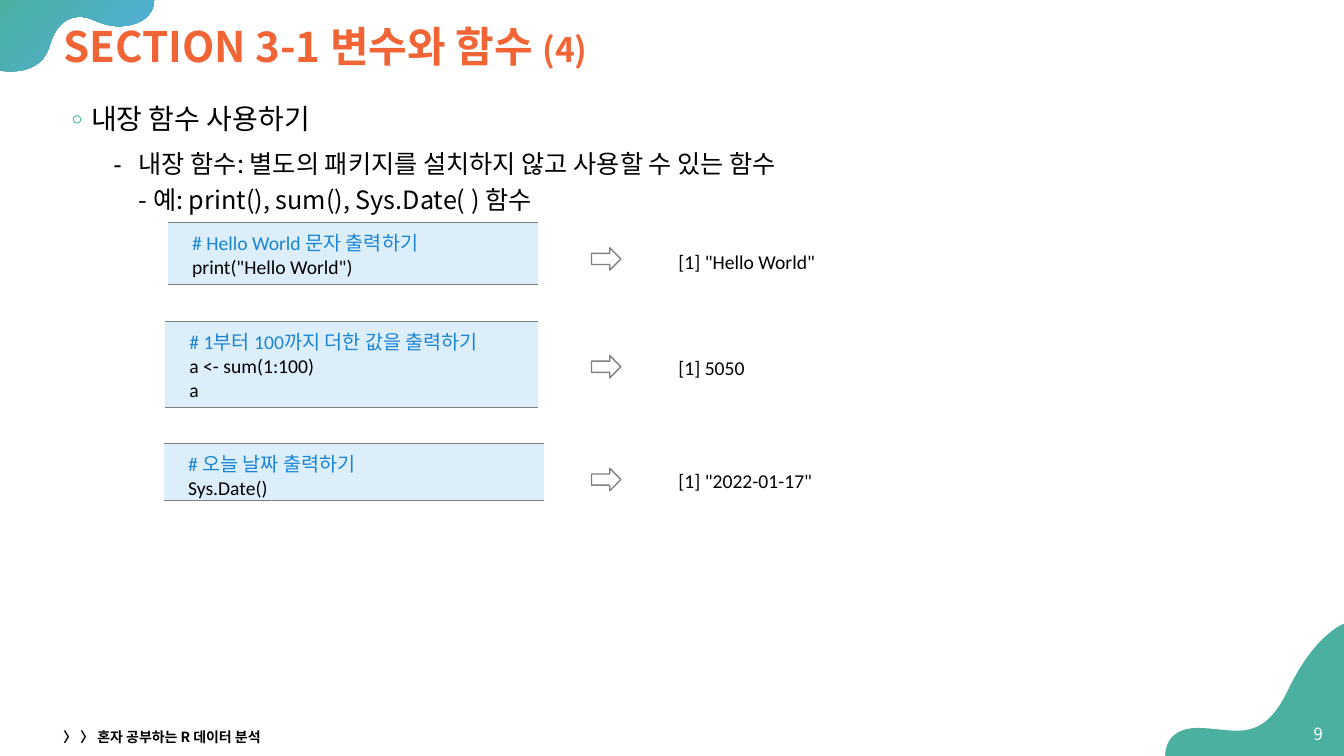
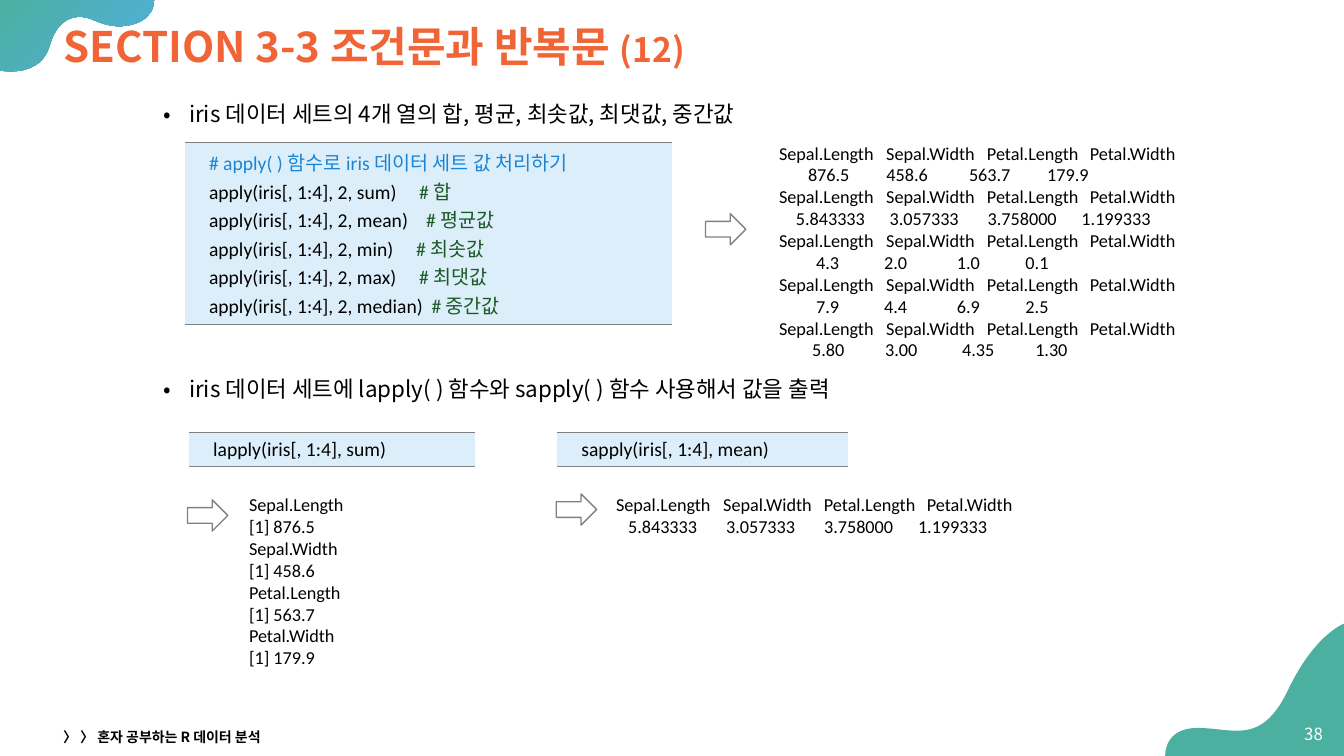
from pptx import Presentation
from pptx import util as u
from pptx.dml import color
from pptx.enum import shapes, text
from pptx.oxml import ns
from lxml import etree

ORANGE = color.RGBColor(0xF0, 0x64, 0x36)
TEAL = color.RGBColor(0x4B, 0xB0, 0xA0)
SKY = color.RGBColor(0x52, 0xAE, 0xE1)
BLUE = color.RGBColor(0x1A, 0x85, 0xD5)
GREEN = color.RGBColor(0x1C, 0x5A, 0x25)
PALE = color.RGBColor(0xDD, 0xEE, 0xFB)
GRAY = color.RGBColor(0x80, 0x80, 0x80)
BLACK = color.RGBColor(0, 0, 0)
WHITE = color.RGBColor(0xFF, 0xFF, 0xFF)

KOREAN = "Noto Sans CJK KR"
CODE = "Calibri"
FOOTER = "〉 〉 혼자 공부하는 R 데이터 분석"
BODY_LEFT, BODY_TOP, BODY_WIDTH = 38, 64, 888

CORNER_TOP = [
    [(110, 0)], [(0, 0)], [(0, 50.4)],
    [(0, 50.4), (3, 51), (8, 51)],
    [(17, 51), (31, 48), (35.3, 33)],
    [(40, 16.5), (49, 12), (57, 12)],
    [(60.5, 12), (64, 13), (67, 14.4)],
    [(73, 17), (79, 18.7), (85, 18.7)],
    [(98.6, 18.7), (110, 12), (110, 0)],
]
CORNER_BOTTOM = [
    [(960, 445.5)],
    [(960, 445.5), (939, 453), (920, 493)],
    [(908.6, 517), (896.5, 522), (883.5, 522)],
    [(874.8, 522), (865.5, 520), (855.4, 520)],
    [(831, 520), (832.3, 540), (832.3, 540)],
    [(960, 540)],
]

HEADER = ["Sepal.Length", "Sepal.Width", "Petal.Length", "Petal.Width"]
HEADER_STOPS = [76.5, 148.5, 222]


def add_child(parent, tag, **attributes):
    return etree.SubElement(parent, ns.qn(tag), attributes)


def add_run(paragraph, content, size, colour, font=KOREAN, bold=False):
    run = paragraph.add_run()
    run.text = content
    run.font.size = u.Pt(size)
    run.font.bold = bold
    run.font.name = font
    run.font.color.rgb = colour
    run.font._element.set("kern", "0")
    add_child(run.font._element, "a:ea", typeface=KOREAN)


def add_tabs(paragraph, stops):
    tabs = add_child(paragraph._p.get_or_add_pPr(), "a:tabLst")
    for stop in stops:
        add_child(tabs, "a:tab", pos=str(u.Pt(stop)), algn="l")


def add_bullet(paragraph, character, indent, hanging=18, colour=BLACK):
    properties = paragraph._p.get_or_add_pPr()
    properties.set("marL", str(u.Pt(indent)))
    properties.set("indent", str(-u.Pt(hanging)))
    add_child(add_child(properties, "a:buClr"), "a:srgbClr", val=str(colour))
    add_child(properties, "a:buFont", typeface=KOREAN)
    add_child(properties, "a:buChar", char=character)
    paragraph.line_spacing = 1.2


def add_frame(slide, left, top, width, height, middle=False, wrap=True):
    box = slide.shapes.add_textbox(u.Pt(left), u.Pt(top), u.Pt(width), u.Pt(height))
    frame = box.text_frame
    frame.word_wrap = wrap
    if middle:
        frame.vertical_anchor = text.MSO_ANCHOR.MIDDLE
    return frame


def next_paragraph(frame, index):
    return frame.add_paragraph() if index else frame.paragraphs[0]


def add_corner(slide, segments):
    outline = [[(u.Pt(x), u.Pt(y)) for x, y in segment] for segment in segments]
    anchors = [segment[-1] for segment in outline]
    left, top = (min(axis) for axis in zip(*anchors))
    builder = slide.shapes.build_freeform(*anchors[0])
    builder.add_line_segments(anchors[1:], close=True)
    shape = builder.convert_to_shape()
    lines = list(shape._element.iter(ns.qn("a:lnTo")))
    for line, segment in zip(lines, outline[1:]):
        if len(segment) == 3:
            curve = etree.Element(ns.qn("a:cubicBezTo"))
            for x, y in segment:
                add_child(curve, "a:pt", x=str(x - left), y=str(y - top))
            line.getparent().replace(line, curve)
    shape.shadow.inherit = False
    shape.line.fill.background()
    return shape


def add_base(presentation, title, part, number):
    slide = presentation.slides.add_slide(presentation.slide_layouts[6])
    fill = add_corner(slide, CORNER_TOP).fill
    fill.gradient()
    fill.gradient_angle = 315
    for stop, colour in zip(fill.gradient_stops, (TEAL, SKY)):
        stop.color.rgb = colour
    fill = add_corner(slide, CORNER_BOTTOM).fill
    fill.solid()
    fill.fore_color.rgb = TEAL

    paragraph = add_frame(slide, BODY_LEFT, 8.6, BODY_WIDTH, 52.6, middle=True).paragraphs[0]
    paragraph.line_spacing = 0.9
    add_run(paragraph, title + " ", 30, ORANGE, bold=True)
    add_run(paragraph, part, 24, ORANGE, bold=True)

    paragraph = add_frame(slide, 920.5, 510, 31.5, 28.8, middle=True).paragraphs[0]
    paragraph.alignment = text.PP_ALIGN.RIGHT
    add_run(paragraph, number, 12, WHITE)

    paragraph = add_frame(slide, BODY_LEFT, 517.7, 324, 17.3, middle=True).paragraphs[0]
    add_run(paragraph, FOOTER, 10, BLACK, bold=True)
    return slide


def add_code(slide, left, top, width, height, lines):
    frame = slide.shapes.add_table(1, 1, u.Pt(left), u.Pt(top), u.Pt(width), u.Pt(height))
    table = frame.table
    table.first_row = table.horz_banding = False
    cell = table.cell(0, 0)
    cell.margin_left = u.Pt(17.3)
    properties = cell._tc.get_or_add_tcPr()
    for side in ("a:lnL", "a:lnR"):
        add_child(add_child(properties, side, w="0"), "a:noFill")
    for side in ("a:lnT", "a:lnB"):
        line = add_child(properties, side, w=str(u.Pt(1)))
        add_child(add_child(line, "a:solidFill"), "a:srgbClr", val=str(GRAY))
    cell.fill.solid()
    cell.fill.fore_color.rgb = PALE
    for index, (code, remark, stop) in enumerate(lines):
        paragraph = next_paragraph(cell.text_frame, index)
        if remark:
            add_tabs(paragraph, [stop])
            add_run(paragraph, code + "\t", 14, BLACK, CODE)
            add_run(paragraph, remark, 14, GREEN, CODE)
        else:
            add_run(paragraph, code, 14, BLUE if code.startswith("#") else BLACK, CODE)


def plain(*lines):
    return [(line, None, None) for line in lines]


def add_arrow(slide, left, top, width, height):
    arrow = slide.shapes.add_shape(
        shapes.MSO_SHAPE.RIGHT_ARROW, u.Pt(left), u.Pt(top), u.Pt(width), u.Pt(height))
    arrow.shadow.inherit = False
    arrow.fill.background()
    arrow.line.color.rgb = GRAY
    arrow.line.width = u.Pt(1)


def add_output(slide, left, top, width, height, lines, size=13):
    frame = add_frame(slide, left, top, width, height, wrap=False)
    for index, line in enumerate(lines):
        add_run(next_paragraph(frame, index), line, size, BLACK, CODE)


def add_columns(slide, left, top, width, height, rows):
    frame = add_frame(slide, left, top, width, height)
    for index, (stops, values) in enumerate(rows):
        heading = next_paragraph(frame, 2 * index)
        add_tabs(heading, HEADER_STOPS)
        add_run(heading, "\t".join(HEADER), 13, BLACK, CODE)
        paragraph = frame.add_paragraph()
        add_tabs(paragraph, stops)
        add_run(paragraph, "\t" + "\t".join(values.split()), 13, BLACK, CODE)


def add_topic(slide, top, content):
    paragraph = add_frame(slide, BODY_LEFT, top, BODY_WIDTH, 36).paragraphs[0]
    add_bullet(paragraph, "•", 90)
    add_run(paragraph, content, 16, BLACK)


def build_functions(presentation):
    slide = add_base(presentation, "SECTION 3-1 변수와 함수", "(4)", "9")
    frame = add_frame(slide, BODY_LEFT, BODY_TOP, BODY_WIDTH, 414)
    paragraph = frame.paragraphs[0]
    add_bullet(paragraph, "◦", 18, colour=TEAL)
    add_run(paragraph, "내장 함수 사용하기", 20, BLACK)
    paragraph = frame.add_paragraph()
    add_bullet(paragraph, "⁃", 54)
    paragraph.space_before = u.Pt(5)
    add_run(paragraph, "내장 함수: 별도의 패키지를 설치하지 않고 사용할 수 있는 함수", 18, BLACK)
    paragraph.add_line_break()
    add_run(paragraph, "- 예: print(), sum(), Sys.Date( ) 함수", 18, BLACK)

    examples = [
        ((120, 158.8, 264, 44.3), 177, 175,
         ["# Hello World 문자 출력하기", 'print("Hello World")'], '[1] "Hello World"'),
        ((118, 229.5, 266, 61.4), 254, 250.6,
         ["# 1부터 100까지 더한 값을 출력하기", "a <- sum(1:100)", "a"], "[1] 5050"),
        ((117, 316.8, 271.5, 41), 334.6, 331.2,
         ["# 오늘 날짜 출력하기", "Sys.Date()"], '[1] "2022-01-17"'),
    ]
    for area, arrow_top, result_top, lines, result in examples:
        add_code(slide, *area, plain(*lines))
        add_arrow(slide, 422.5, arrow_top, 21, 16)
        add_output(slide, 477.5, result_top, 157, 24.5, [result], size=14)


def build_loops(presentation):
    slide = add_base(presentation, "SECTION 3-3 조건문과 반복문", "(12)", "38")
    add_topic(slide, BODY_TOP, "iris 데이터 세트의 4개 열의 합, 평균, 최솟값, 최댓값, 중간값")
    add_topic(slide, 260.4, "iris 데이터 세트에 lapply( ) 함수와 sapply( ) 함수 사용해서 값을 출력")

    calls = [("sum", "합", 150), ("mean", "평균값", 155), ("min", "최솟값", 148),
             ("max", "최댓값", 150), ("median", "중간값", 159)]
    lines = plain("# apply( ) 함수로 iris 데이터 세트 값 처리하기")
    lines += [(f"apply(iris[, 1:4], 2, {name})", f"# {label}", stop) for name, label, stop in calls]
    add_code(slide, 132, 102, 348, 130, lines)
    add_columns(slide, 549.4, 97.8, 386, 165, [
        ([20.7, 76.7, 135.7, 191.5], "876.5 458.6 563.7 179.9"),
        ([12, 79, 149, 216], "5.843333 3.057333 3.758000 1.199333"),
        ([26.5, 75, 127, 176], "4.3 2.0 1.0 0.1"),
        ([26.5, 75, 127, 176], "7.9 4.4 6.9 2.5"),
        ([23.6, 75.7, 130.7, 183], "5.80 3.00 4.35 1.30"),
    ])

    add_code(slide, 135, 309, 204.5, 23.8, plain("lapply(iris[, 1:4], sum)"))
    add_code(slide, 398, 309, 207.5, 23.8, plain("sapply(iris[, 1:4], mean)"))
    sums = zip(HEADER, ("876.5", "458.6", "563.7", "179.9"))
    add_output(slide, 170.8, 349, 106.5, 149,
               [line for name, total in sums for line in (name, f"[1] {total}")])
    add_columns(slide, 433, 348.6, 381.6, 39, [
        ([8.6, 78.6, 148.6, 215.7], "5.843333 3.057333 3.758000 1.199333"),
    ])
    for left, top in ((504, 152.6), (397.4, 352.8), (134, 357)):
        add_arrow(slide, left, top, 28.8, 22.3)


def main():
    presentation = Presentation()
    presentation.slide_width = u.Pt(960)
    presentation.slide_height = u.Pt(540)
    build_functions(presentation)
    build_loops(presentation)
    presentation.save("out.pptx")


if __name__ == "__main__":
    main()
